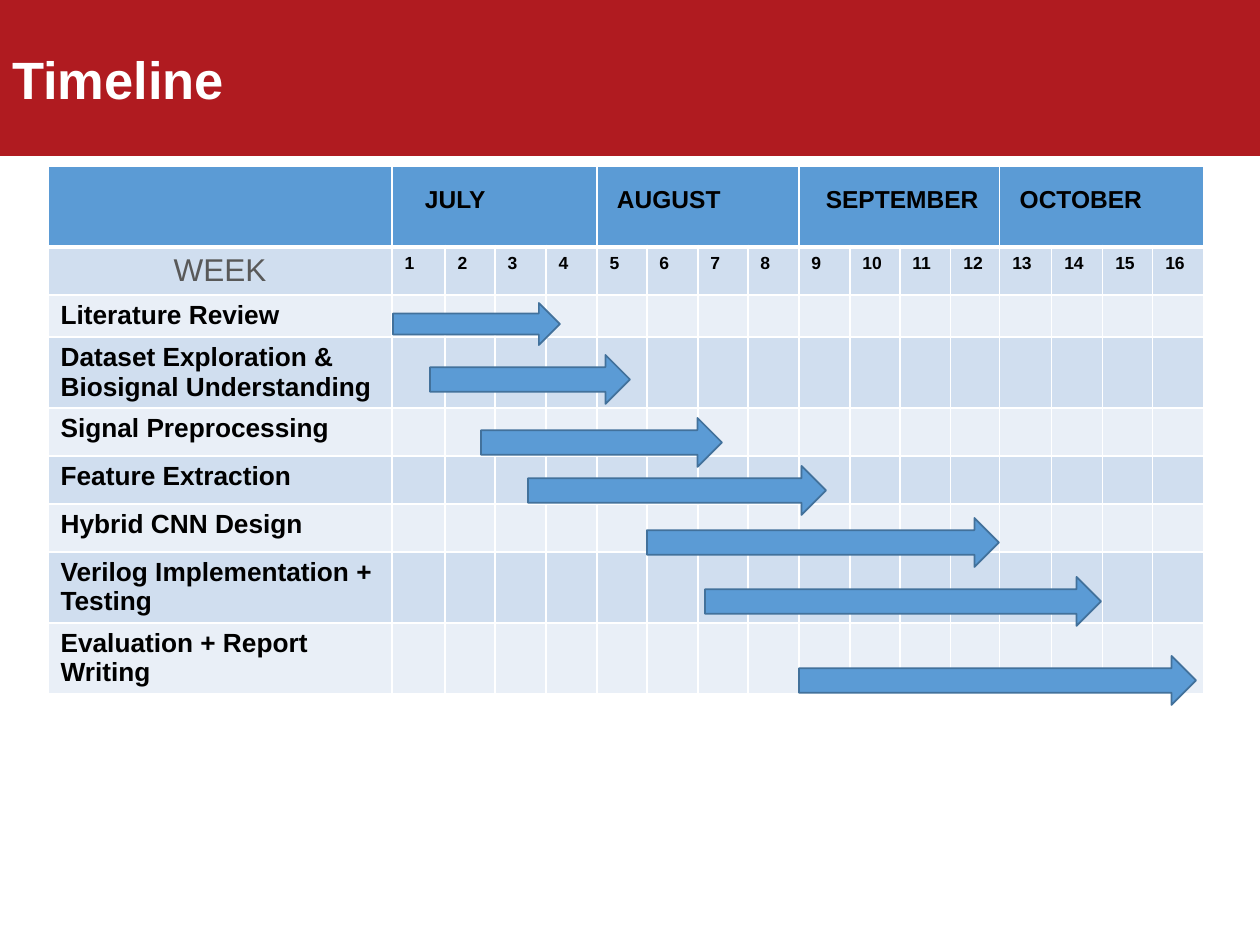
import pptx
import pptx.dml.color
import pptx.enum.shapes
import pptx.enum.text
import pptx.oxml
import pptx.oxml.ns
import pptx.util

PX = 914400 // 126
COLORS = {"banner": "B01B20", "white": "FFFFFF", "black": "000000", "gray": "595959",
          "blue": "5B9BD5", "edge": "42719B", "dark": "D0DEEF", "light": "E9EFF7"}
ALIGN = pptx.enum.text.PP_ALIGN
TITLE = {"size": 30, "bold": True, "color": "white"}
MONTH = {"size": 14, "bold": True, "color": "black"}
WEEK = {"size": 18, "bold": False, "color": "gray"}
NUMBER = {"size": 10, "bold": True, "color": "black"}
TASK = {"size": 15, "bold": True, "color": "black"}
MONTHS = [("JULY", 20), ("AUGUST", 7), ("SEPTEMBER", 14), ("OCTOBER", 7)]
COLS = [344, 53, 50, 51, 51, 50, 51, 50, 51, 51, 50, 51, 49, 52, 51, 50, 51]
HEADER_ROWS = [81, 48]
TASKS = [
    ("Literature Review", 42, (345, 137, 167, 42)),
    ("Dataset Exploration & Biosignal Understanding", 71, (382, 189, 200, 49)),
    ("Signal Preprocessing", 48, (433, 252, 241, 49)),
    ("Feature Extraction", 48, (480, 300, 298, 49)),
    ("Hybrid CNN Design", 48, (599, 352, 352, 49)),
    ("Verilog Implementation + Testing", 71, (657, 411, 396, 49)),
    ("Evaluation + Report Writing", 71, (751, 490, 397, 49)),
]


def px(n):
    """Turn whole pixels into EMU."""
    return pptx.util.Emu(n * PX)


def rgb(name):
    """Look up a named colour."""
    return pptx.dml.color.RGBColor.from_string(COLORS[name])


def write(tf, text, fmt, **para):
    """Put one formatted paragraph in a text frame."""
    p = tf.paragraphs[0]
    for key, value in para.items():
        setattr(p, key, value)
    r = p.add_run()
    r.text = text
    values = {"name": "Arial", "size": pptx.util.Pt(fmt["size"]), "bold": fmt["bold"]}
    for key, value in values.items():
        setattr(r.font, key, value)
    r.font.color.rgb = rgb(fmt["color"])


def add_box(s, kind, box, fill, line=None):
    """Add a flat filled shape in a pixel box."""
    sp = s.shapes.add_shape(kind, *map(px, box))
    sp.shadow.inherit = False
    sp.fill.solid()
    sp.fill.fore_color.rgb = rgb(fill)
    if line:
        sp.line.color.rgb = rgb(line)
        sp.line.width = pptx.util.Pt(1)
    else:
        sp.line.fill.background()
    return sp


def style_cell(cell, fill, widths):
    """Give a cell white borders, a fill and a small empty-paragraph size."""
    tcPr = cell._tc.get_or_add_tcPr()
    for side, width in widths.items():
        tcPr.append(pptx.oxml.parse_xml(
            f'<a:ln{side} {pptx.oxml.ns.nsdecls("a")} w="{pptx.util.Pt(width)}"><a:solidFill>'
            f'<a:srgbClr val="{COLORS["white"]}"/></a:solidFill></a:ln{side}>'))
    cell.fill.solid()
    cell.fill.fore_color.rgb = rgb(fill)
    end = cell.text_frame.paragraphs[0]._p.get_or_add_endParaRPr()
    end.set("sz", "1000")


def add_banner(s, box):
    """Draw the title banner."""
    sp = add_box(s, pptx.enum.shapes.MSO_SHAPE.RECTANGLE, box, "banner")
    sp.text_frame.word_wrap = True
    write(sp.text_frame, "Timeline", TITLE, alignment=ALIGN.LEFT)


def add_schedule(s, x, y):
    """Draw the week grid with months, weeks and task names."""
    rows = HEADER_ROWS + [height for _, height, _ in TASKS]
    frame = s.shapes.add_table(len(rows), len(COLS), px(x), px(y), px(sum(COLS)), px(sum(rows)))
    table = frame.table
    for col, width in zip(table.columns, COLS):
        col.width = px(width)
    for i, (row, height) in enumerate(zip(table.rows, rows)):
        row.height = px(height)
        fill = "blue" if i == 0 else "dark" if i % 2 else "light"
        widths = {"L": 1, "R": 1, "T": 3 if i == 1 else 1, "B": 3 if i == 0 else 1}
        for cell in row.cells:
            style_cell(cell, fill, widths)
    for i, (month, indent) in enumerate(MONTHS):
        cell = table.cell(0, 1 + 4 * i)
        cell.merge(table.cell(0, 4 + 4 * i))
        cell.margin_left = px(13 + indent)
        write(cell.text_frame, month, MONTH, line_spacing=1.5)
    write(table.cell(1, 0).text_frame, "WEEK", WEEK, alignment=ALIGN.CENTER)
    for week in range(1, len(COLS)):
        write(table.cell(1, week).text_frame, str(week), NUMBER)
    for i, (task, _, _) in enumerate(TASKS, len(HEADER_ROWS)):
        write(table.cell(i, 0).text_frame, task, TASK)


def add_arrows(s, x, y):
    """Draw one arrow for each task's span of weeks."""
    for _, _, (left, top, width, height) in TASKS:
        add_box(s, pptx.enum.shapes.MSO_SHAPE.RIGHT_ARROW,
                (x + left, y + top, width, height), "blue", "edge")


def main():
    """Build and save the timeline slide."""
    prs = pptx.Presentation()
    prs.slide_width, prs.slide_height = px(1260), px(945)
    s = prs.slides.add_slide(prs.slide_layouts[6])
    add_banner(s, (0, 0, 1260, 156))
    add_schedule(s, 48, 166)
    add_arrows(s, 48, 166)
    prs.save("out.pptx")


if __name__ == "__main__":
    main()
